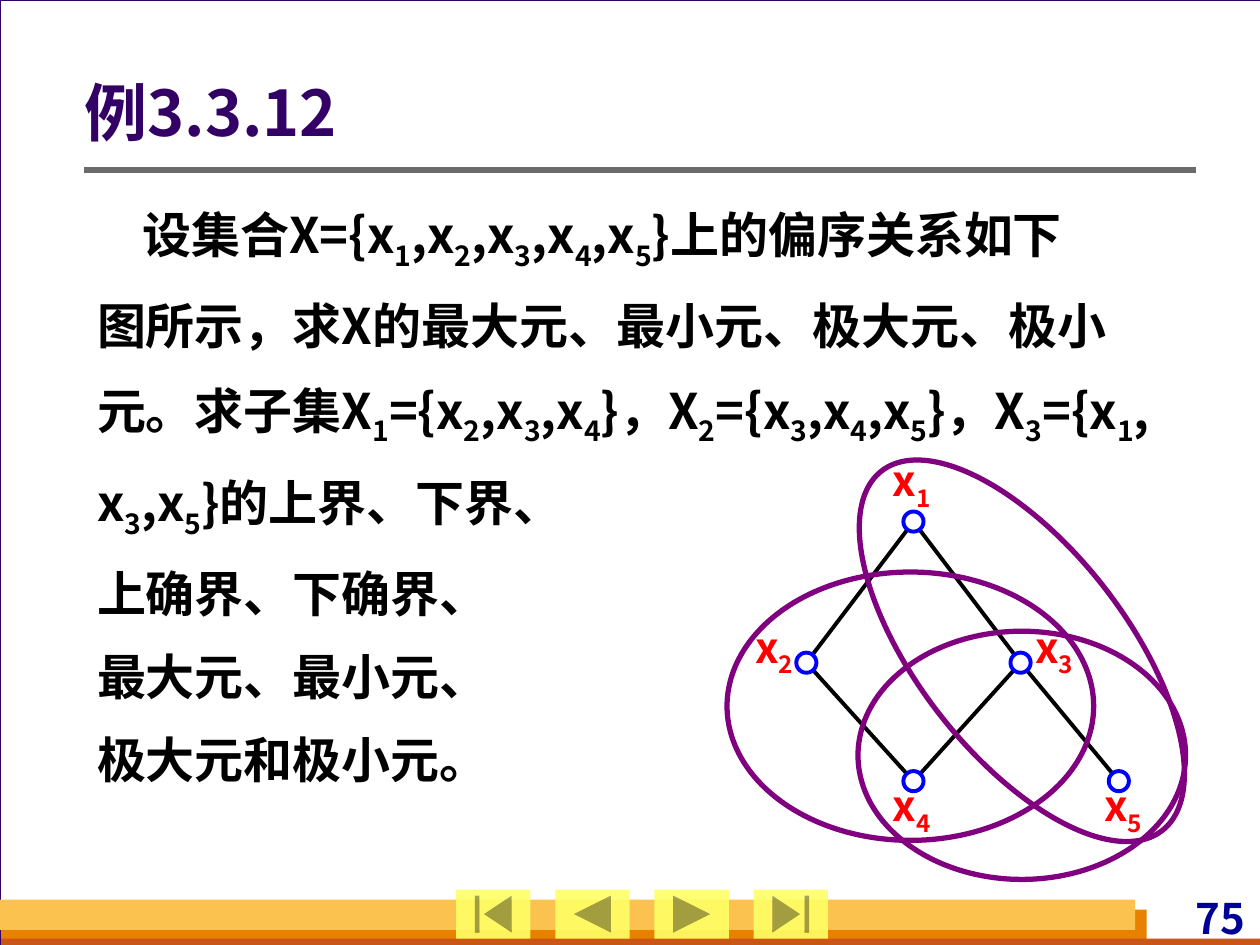
from lxml import etree
from pptx import Presentation
from pptx.dml.color import RGBColor
from pptx.enum.shapes import MSO_CONNECTOR as CONNECTOR, MSO_SHAPE as SHAPE
from pptx.enum.text import MSO_ANCHOR as ANCHOR, MSO_AUTO_SIZE as AUTO_SIZE, PP_ALIGN as ALIGN
from pptx.oxml.ns import qn
from pptx.util import Inches, Pt

FONT = "Noto Sans CJK SC"
COLORS = {
    "background": "D8DADA", "white": "FFFFFF", "indigo": "330066",
    "orange": "E88000", "rust": "C95616", "amber": "FCC24F",
    "button": "FFFF66", "gray": "6B6B6B", "navy": "000099",
    "black": "000000", "red": "FF0000", "blue": "0000FF", "purple": "800080",
}
# An underscore makes the next character a subscript.
BODY = [
    "设集合X={x_1,x_2,x_3,x_4,x_5}上的偏序关系如下",
    "图所示，求X的最大元、最小元、极大元、极小",
    "元。求子集X_1={x_2,x_3,x_4}，X_2={x_3,x_4,x_5}，X_3={x_1,",
    "x_3,x_5}的上界、下界、",
    "上确界、下确界、",
    "最大元、最小元、",
    "极大元和极小元。",
]
BUTTONS = [
    SHAPE.ACTION_BUTTON_BEGINNING, SHAPE.ACTION_BUTTON_BACK_OR_PREVIOUS,
    SHAPE.ACTION_BUTTON_FORWARD_OR_NEXT, SHAPE.ACTION_BUTTON_END,
]
# Element number: node centre and the label's offset from it.
NODES = {
    1: ((7.25, 4.14), (-0.19, -0.53)),
    2: ((6.40, 5.26), (-0.43, -0.33)),
    3: ((8.10, 5.26), (0.09, -0.33)),
    4: ((7.25, 6.20), (-0.19, -0.01)),
    5: ((8.88, 6.20), (-0.14, -0.01)),
}
EDGES = [(1, 2), (1, 3), (2, 4), (3, 4), (3, 5)]
SUBSETS = [
    ((5.77, 4.54, 2.91, 2.13), 0),
    ((6.81, 5.01, 2.60, 1.97), 0),
    ((6.30, 4.34, 3.62, 1.65), 52),
]


def color(name):
    """Return the named colour."""
    return RGBColor.from_string(COLORS[name])


def place(shape, box):
    """Move and size a shape by left, top, width and height in inches."""
    shape.left, shape.top, shape.width, shape.height = map(Inches, box)


def add_run(paragraph, text, size, color_name, subscript=False):
    """Add one bold run."""
    run = paragraph.add_run()
    run.text = text
    run.font.size = Pt(size)
    run.font.bold = True
    run.font.color.rgb = color(color_name)
    run.font.name = FONT
    properties = run.font._element
    etree.SubElement(properties, qn("a:ea")).set("typeface", FONT)
    if subscript:
        properties.set("baseline", "-25000")


def write(paragraph, text, size, color_name):
    """Write text in which an underscore marks a subscript character."""
    first, *rest = text.split("_")
    if first:
        add_run(paragraph, first, size, color_name)
    for part in rest:
        add_run(paragraph, part[0], size, color_name, subscript=True)
        if part[1:]:
            add_run(paragraph, part[1:], size, color_name)


def set_frame(text_frame, margins, anchor=ANCHOR.TOP):
    """Set margins and anchor of a wrapping frame of fixed size."""
    text_frame.word_wrap = True
    text_frame.auto_size = AUTO_SIZE.NONE
    text_frame.vertical_anchor = anchor
    (text_frame.margin_left, text_frame.margin_top,
     text_frame.margin_right, text_frame.margin_bottom) = map(Inches, margins)


def add_label(slide, box, text, color_name, align=ALIGN.CENTER, side=0):
    """Add a one-line 24 pt label."""
    frame = slide.shapes.add_textbox(*map(Inches, box)).text_frame
    set_frame(frame, (side, 0, side, 0))
    frame.paragraphs[0].alignment = align
    write(frame.paragraphs[0], text, 24, color_name)


def add_preset(slide, kind, box, fill=None, line=None, width=1):
    """Add a preset shape with optional fill and outline."""
    shape = slide.shapes.add_shape(kind, *map(Inches, box))
    shape.shadow.inherit = False
    if fill:
        shape.fill.solid()
        shape.fill.fore_color.rgb = color(fill)
    else:
        shape.fill.background()
    if line:
        shape.line.color.rgb = color(line)
        shape.line.width = Pt(width)
    else:
        shape.line.fill.background()
    return shape


def add_line(slide, start, end, color_name, width):
    """Add a straight line between two points."""
    points = map(Inches, (*start, *end))
    line = slide.shapes.add_connector(CONNECTOR.STRAIGHT, *points)
    line.line.color.rgb = color(color_name)
    line.line.width = Pt(width)
    etree.SubElement(line._element.spPr, qn("a:effectLst"))


def add_button(slide, kind, left):
    """Add a slightly transparent navigation button."""
    button = add_preset(slide, kind, (left, 7.06, 0.59, 0.39), "button")
    fill_color = button._element.spPr.find(".//" + qn("a:srgbClr"))
    etree.SubElement(fill_color, qn("a:alpha")).set("val", "90000")


def add_frame(slide):
    """Add the page, footer bars, page number, rule and buttons."""
    add_preset(slide, SHAPE.RECTANGLE, (0, 0, 10.01, 7.5), "white", "indigo", 0.74)
    for box, fill in [
        ((0.01, 7.22, 9.09, 0.28), "orange"),
        ((0.01, 7.45, 10, 0.08), "rust"),
        ((0, 7.14, 9.01, 0.24), "amber"),
    ]:
        add_preset(slide, SHAPE.RECTANGLE, box, fill)
    add_label(slide, (8.47, 7.08, 1.45, 0.4), "75", "navy", ALIGN.RIGHT, 0.04)
    add_line(slide, (0.67, 1.35), (9.49, 1.35), "gray", 3)
    for index, kind in enumerate(BUTTONS):
        add_button(slide, kind, 3.62 + 0.787 * index)


def bring_to_front(shape):
    """Put a shape above all others on the slide."""
    shape._element.getparent().append(shape._element)


def fill_title(title):
    """Write the heading."""
    bring_to_front(title)
    place(title, (0.67, 0.6, 8.82, 0.64))
    set_frame(title.text_frame, (0, 0.05, 0.1, 0.05), ANCHOR.MIDDLE)
    paragraph = title.text_frame.paragraphs[0]
    paragraph.alignment = ALIGN.LEFT
    paragraph.line_spacing = 0.9
    write(paragraph, "例3.3.12", 36, "indigo")


def fill_body(body):
    """Write the exercise without bullets, its first line indented."""
    bring_to_front(body)
    place(body, (0.67, 1.47, 8.82, 6.03))
    frame = body.text_frame
    set_frame(frame, (0.1, 0.05, 0.1, 0.05))
    for index, text in enumerate(BODY):
        paragraph = frame.add_paragraph() if index else frame.paragraphs[0]
        paragraph.line_spacing = 1.2
        paragraph.space_before = Pt(7)
        properties = paragraph._p.get_or_add_pPr()
        properties.set("marL", "0")
        properties.set("indent", str(0 if index else Inches(0.36)))
        etree.SubElement(properties, qn("a:buNone"))
        write(paragraph, text, 28, "black")


def add_hasse_diagram(slide):
    """Add the order diagram and the ovals around its subsets."""
    for start, end in EDGES:
        add_line(slide, NODES[start][0], NODES[end][0], "black", 2.24)
    for number, ((x, y), (dx, dy)) in NODES.items():
        add_label(slide, (x + dx, y + dy, 0.35, 0.4), f"x_{number}", "red")
        add_preset(slide, SHAPE.OVAL, (x - 0.08, y - 0.08, 0.16, 0.16),
                   "white", "blue", 2.24)
    for box, angle in SUBSETS:
        oval = add_preset(slide, SHAPE.OVAL, box, line="purple", width=3)
        oval.rotation = angle


def main():
    """Build and save the slide."""
    presentation = Presentation()
    presentation.slide_width, presentation.slide_height = Inches(10), Inches(7.5)
    slide = presentation.slides.add_slide(presentation.slide_layouts[1])
    slide.background.fill.solid()
    slide.background.fill.fore_color.rgb = color("background")
    add_frame(slide)
    fill_body(slide.placeholders[1])
    fill_title(slide.shapes.title)
    add_hasse_diagram(slide)
    presentation.save("out.pptx")


main()
